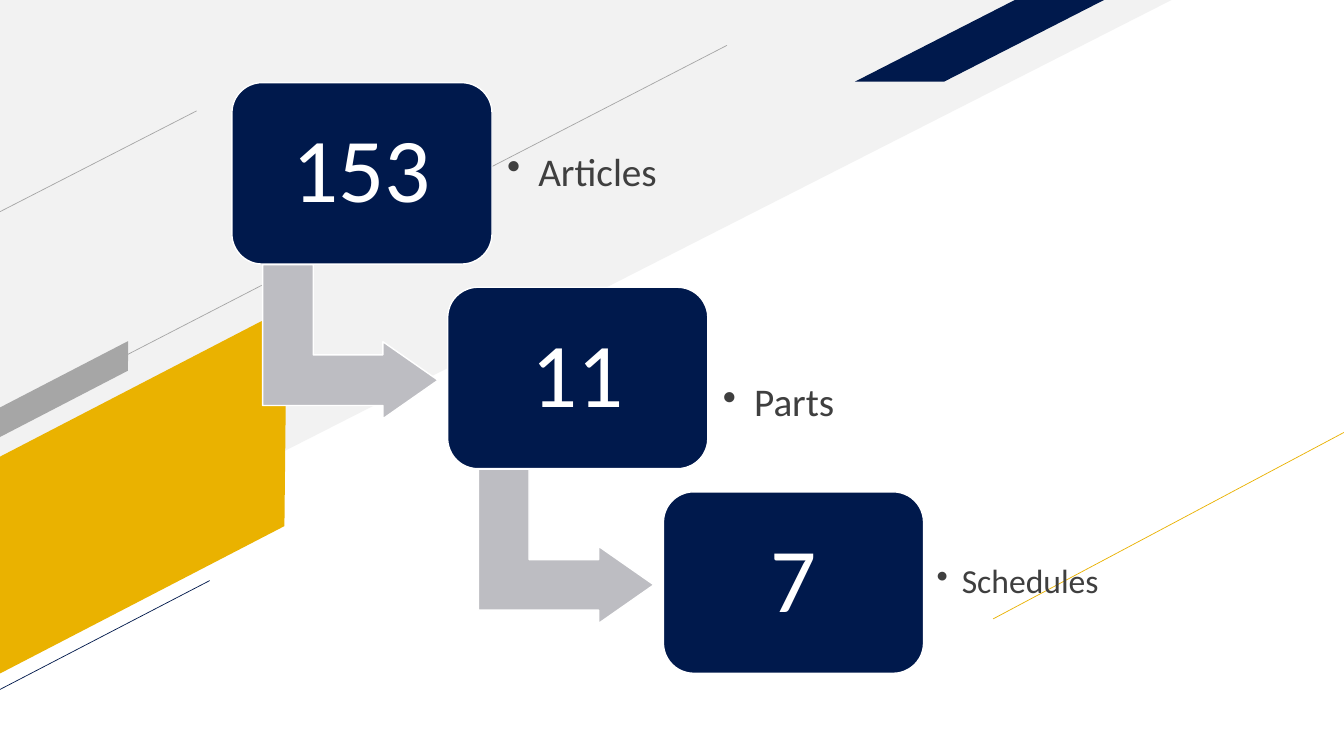
from lxml import etree
from pptx import Presentation
from pptx.dml.color import RGBColor
from pptx.enum.shapes import MSO_CONNECTOR, MSO_SHAPE
from pptx.enum.text import MSO_ANCHOR, PP_ALIGN
from pptx.oxml.ns import qn
from pptx.util import Inches, Pt

NAVY = RGBColor(0x00, 0x19, 0x4C)
GOLD = RGBColor(0xEA, 0xB2, 0x00)
PALE_GREY = RGBColor(0xF2, 0xF2, 0xF2)
MID_GREY = RGBColor(0xA6, 0xA6, 0xA6)
ARROW_GREY = RGBColor(0xBD, 0xBD, 0xC2)
TEXT_GREY = RGBColor(0x3F, 0x3F, 0x3F)
WHITE = RGBColor(0xFF, 0xFF, 0xFF)

PARALLELOGRAM = MSO_SHAPE.PARALLELOGRAM
STRAIGHT = MSO_CONNECTOR.STRAIGHT
MIDDLE = MSO_ANCHOR.MIDDLE
LEFT, CENTER = PP_ALIGN.LEFT, PP_ALIGN.CENTER

prs = Presentation()
prs.slide_width, prs.slide_height = Inches(13.33), Inches(7.5)
slide = prs.slides.add_slide(prs.slide_layouts[6])


def add_solid(kind, box, fill, adjustments=(), rotation=0, outline=None):
    solid = slide.shapes.add_shape(kind, *map(Inches, box))
    solid.shadow.inherit = False
    solid.rotation = rotation
    for index, value in enumerate(adjustments):
        solid.adjustments[index] = value
    solid.fill.solid()
    solid.fill.fore_color.rgb = fill
    if outline is None:
        solid.line.fill.background()
    else:
        solid.line.color.rgb = outline
        solid.line.width = Pt(1)
    return solid


def write_text(frame, text, size, color, align, inset):
    """Fill a text frame with one vertically centred paragraph and return it."""
    frame.word_wrap = True
    frame.vertical_anchor = MIDDLE
    frame.margin_left = frame.margin_right = Inches(inset)
    frame.margin_top = frame.margin_bottom = Inches(inset)
    paragraph = frame.paragraphs[0]
    paragraph.alignment = align
    paragraph.line_spacing = 0.9
    run = paragraph.add_run()
    run.text = text
    run.font.name = "Calibri"
    run.font.size = Pt(size)
    run.font.color.rgb = color
    return paragraph


# Background decoration
corner = add_solid(MSO_SHAPE.RIGHT_TRIANGLE, (0, 0, 11.62, 5.91), PALE_GREY)
corner._element.spPr.find(qn("a:xfrm")).set("flipV", "1")

for box, fill, slant, rotation in [
    ((-0.7, 3.92, 4.22, 1.91), GOLD, 0.532, 332.6),
    ((8.48, 0, 2.47, 0.81), NAVY, 1.958, 0),
]:
    add_solid(PARALLELOGRAM, box, fill, [slant], rotation)

for x1, y1, x2, y2, color in [
    (0, 2.1, 1.95, 1.1, MID_GREY),
    (9.85, 6.14, 13.33, 4.29, GOLD),
    (0, 4.17, 7.21, 0.45, MID_GREY),
    (-0.02, 6.85, 2.08, 5.76, NAVY),
]:
    stripe = slide.shapes.add_connector(STRAIGHT, *map(Inches, (x1, y1, x2, y2)))
    stripe.line.color.rgb = color
    stripe.line.width = Pt(0.5)
    etree.SubElement(stripe._element.spPr, qn("a:effectLst"))

add_solid(PARALLELOGRAM, (-0.15, 3.73, 1.57, 0.26), MID_GREY, [0.532], 332.6)

# Staircase: count, label, label size, inset, bullet indent, extra space above
steps = [
    ("153", "Articles", 28, 0.15, 0.31, 0),
    ("11", "Parts", 28, 0.15, 0.31, 0.52),
    ("7", "Schedules", 24, 0.13, 0.25, 0),
]
STEP_X, STEP_Y = 2.14, 2.03
BOX_WIDTH, BOX_HEIGHT = 2.58, 1.8

for number, (count, label, size, inset, indent, drop) in enumerate(steps):
    left = 2.3 + number * STEP_X
    top = 0.82 + number * STEP_Y
    if number < len(steps) - 1:
        add_solid(MSO_SHAPE.BENT_UP_ARROW, (left + 0.41, top + 1.7, 1.53, 1.74),
                  ARROW_GREY, [0.328, 0.25, 0.358], 90, WHITE)
    count_box = add_solid(MSO_SHAPE.ROUNDED_RECTANGLE, (left, top, BOX_WIDTH, BOX_HEIGHT),
                          NAVY, [0.167], outline=WHITE)
    write_text(count_box.text_frame, count, 65, WHITE, CENTER, 0.27)

    label_box = slide.shapes.add_textbox(
        Inches(left + BOX_WIDTH), Inches(top + 0.17), Inches(1.87), Inches(1.46))
    bullet_line = write_text(label_box.text_frame, label, size, TEXT_GREY, LEFT, inset)
    label_box.text_frame.margin_top = Inches(inset + drop)
    properties = bullet_line._p.get_or_add_pPr()
    properties.set("marL", str(Inches(indent)))
    properties.set("indent", str(-Inches(indent)))
    etree.SubElement(properties, qn("a:buChar"), char="•")

prs.save("out.pptx")
